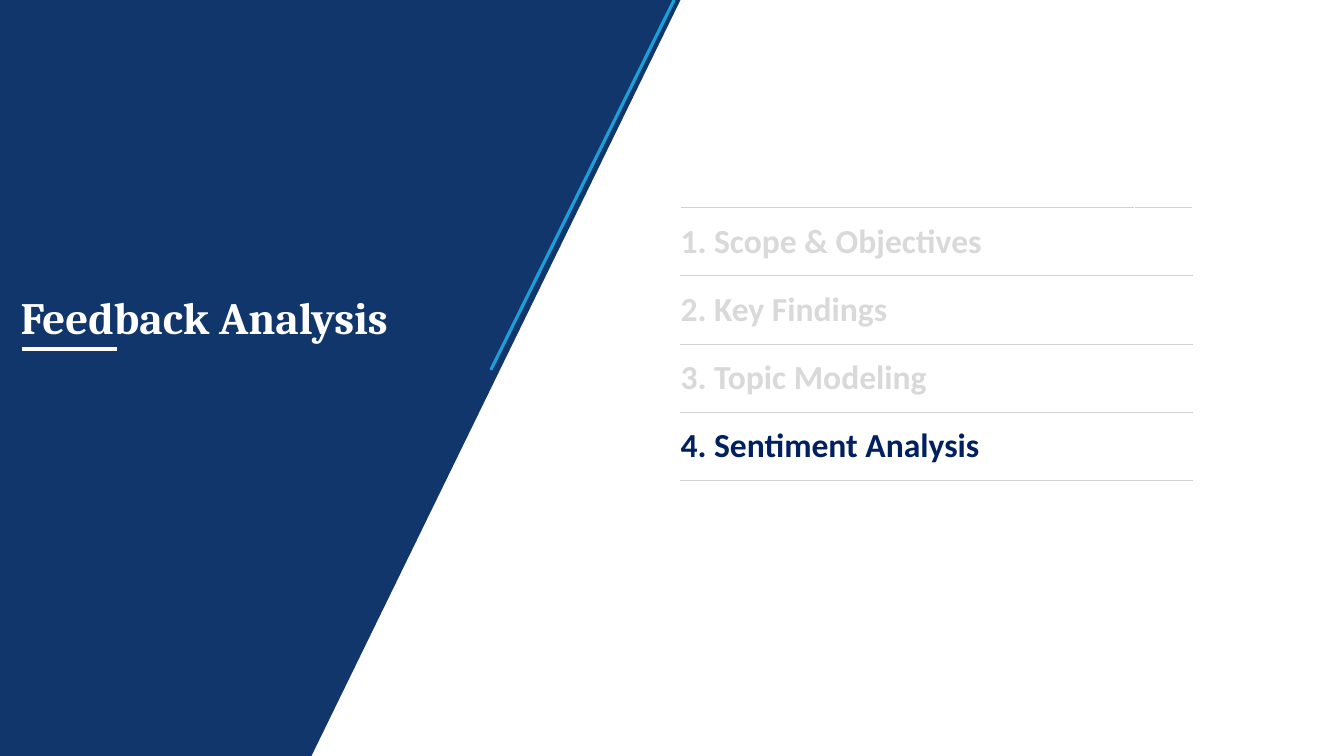
from lxml.etree import SubElement
from pptx import Presentation
from pptx.dml.color import RGBColor
from pptx.enum.shapes import MSO_CONNECTOR as Connector
from pptx.enum.text import MSO_ANCHOR as Anchor
from pptx.oxml.ns import qn
from pptx.util import Cm, Pt

NAVY = RGBColor(0x11, 0x36, 0x6B)
SKY = RGBColor(0x1D, 0x9F, 0xDA)
WHITE = RGBColor(0xFF, 0xFF, 0xFF)
RULE_GRAY = RGBColor(0xD0, 0xD0, 0xCE)
MUTED = RGBColor(0xD9, 0xD9, 0xD9)
ACTIVE = RGBColor(0x00, 0x20, 0x60)

TOPICS = ["Scope & Objectives", "Key Findings", "Topic Modeling", "Sentiment Analysis"]
ACTIVE_NUMBER = 4


def add_run(paragraph, text, font_name, size, color):
    run = paragraph.add_run()
    run.text = text
    run.font.name = font_name
    run.font.size = Pt(size)
    run.font.bold = True
    run.font.color.rgb = color


def add_border(cell, side, color):
    line = SubElement(cell._tc.get_or_add_tcPr(), qn(f"a:ln{side}"), w=str(Pt(0.75)))
    fill = SubElement(line, qn("a:solidFill"))
    SubElement(fill, qn("a:srgbClr"), val=str(color))


presentation = Presentation()
presentation.slide_width = Cm(33.87)
presentation.slide_height = Cm(19.05)
slide = presentation.slides.add_slide(presentation.slide_layouts[6])

# Slanted panel
builder = slide.shapes.build_freeform(Cm(17.15), 0)
builder.add_line_segments([(0, 0), (0, Cm(19.05)), (Cm(7.85), Cm(19.05))], close=True)
panel = builder.convert_to_shape()
panel.shadow.inherit = False
panel.fill.solid()
panel.fill.fore_color.rgb = NAVY
panel.line.fill.background()

# Accent along the slant and underline of the title
for x1, y1, x2, y2, color, width in [
    (16.99, 0, 12.37, 9.32, SKY, 2.28),
    (0.56, 8.79, 2.96, 8.79, WHITE, 3),
]:
    connector = slide.shapes.add_connector(
        Connector.STRAIGHT, Cm(x1), Cm(y1), Cm(x2), Cm(y2))
    connector.line.color.rgb = color
    connector.line.width = Pt(width)
    SubElement(connector._element.spPr, qn("a:effectLst"))

# Title
title = slide.shapes.add_textbox(Cm(0.52), Cm(7.26), Cm(11.43), Cm(1.4))
frame = title.text_frame
frame.word_wrap = True
frame.margin_left = frame.margin_right = frame.margin_bottom = 0
frame.margin_top = Cm(0.03)
paragraph = frame.paragraphs[0]
paragraph.space_before = Pt(0.9)
add_run(paragraph, "Feedback Analysis", "Cambria", 32, WHITE)

# Agenda table
table = slide.shapes.add_table(
    len(TOPICS), 2, Cm(17.15), Cm(5.23), Cm(12.9), Cm(6.88)).table
table.first_row = table.horz_banding = False
table.columns[0].width = Cm(11.43)
table.columns[1].width = Cm(1.47)

for number, topic in enumerate(TOPICS, start=1):
    topic_cell, end_cell = table.rows[number - 1].cells
    for cell, inner_side in [(topic_cell, "R"), (end_cell, "L")]:
        add_border(cell, inner_side, WHITE)
        add_border(cell, "T", RULE_GRAY)
        add_border(cell, "B", RULE_GRAY)
        cell.fill.background()
    topic_cell.vertical_anchor = Anchor.MIDDLE
    topic_cell.margin_left = topic_cell.margin_right = 0
    topic_cell.margin_top = topic_cell.margin_bottom = Cm(0.18)
    color = ACTIVE if number == ACTIVE_NUMBER else MUTED
    add_run(topic_cell.text_frame.paragraphs[0], f"{number}. {topic}", "Calibri", 24, color)

presentation.save("out.pptx")
